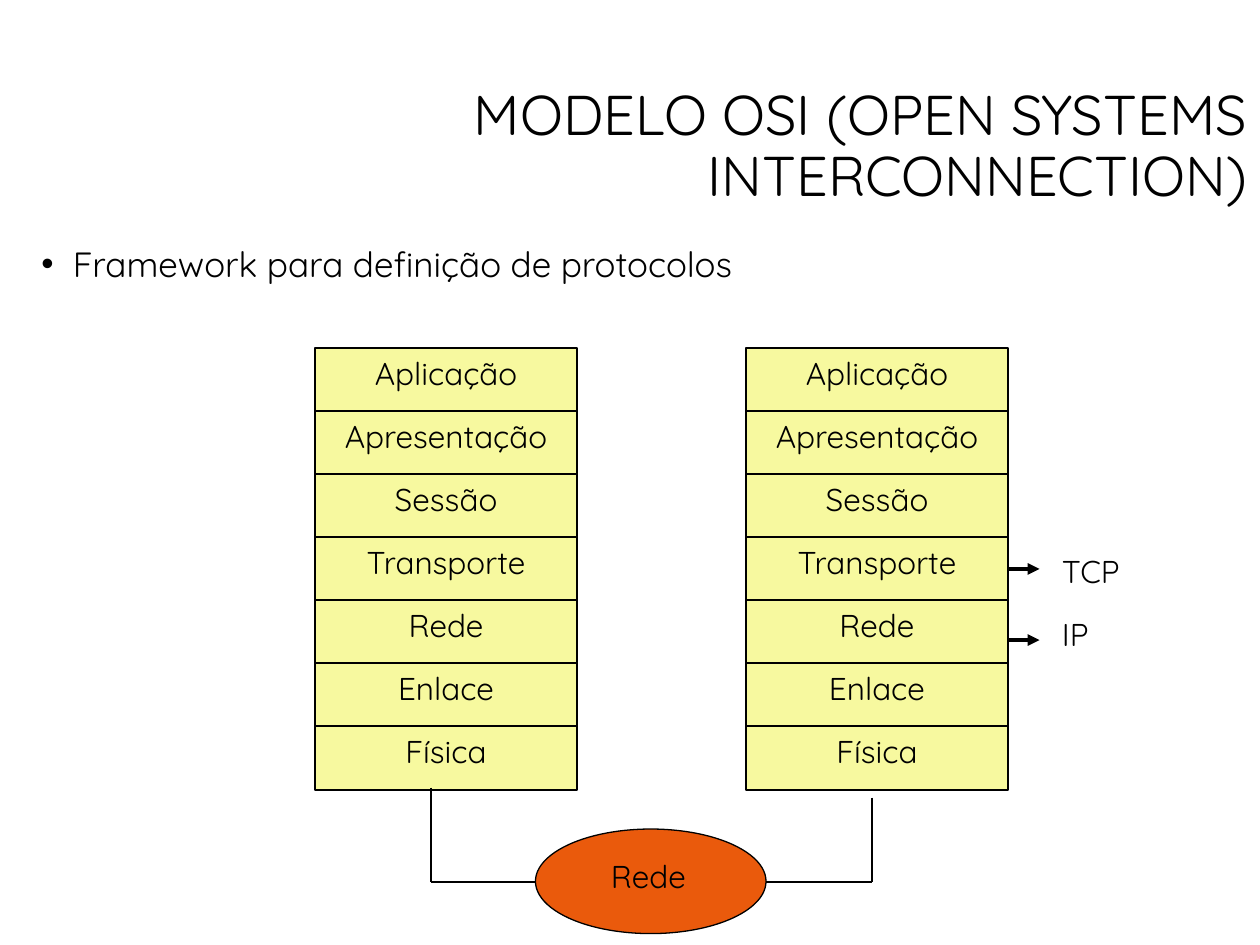
"""Build a slide comparing two OSI layer stacks joined by a network."""
from lxml.etree import SubElement
from pptx import Presentation
from pptx.dml.color import RGBColor
from pptx.enum.shapes import MSO_CONNECTOR, MSO_SHAPE
from pptx.enum.text import MSO_ANCHOR, PP_ALIGN
from pptx.oxml.ns import qn
from pptx.util import Inches, Pt


def write_text(text, left, top, width, height, kind=None, fill=None, line=None, size=18,
               align=PP_ALIGN.LEFT, anchor=MSO_ANCHOR.TOP, spacing=None, bullet=None):
    box = [Inches(value) for value in (left, top, width, height)]
    if kind is None:
        shape = slide.shapes.add_textbox(*box)
    else:
        shape = slide.shapes.add_shape(kind, *box)
        shape.shadow.inherit = False
        shape.fill.solid()
        shape.fill.fore_color.rgb = RGBColor.from_string(fill)
        if line:
            shape.line.color.rgb = RGBColor.from_string("000000")
            shape.line.width = Pt(line)
        else:
            shape.line.fill.background()
    if text:
        frame = shape.text_frame
        frame.word_wrap = True
        frame.vertical_anchor = anchor
        paragraph = frame.paragraphs[0]
        paragraph.text = text
        paragraph.alignment = align
        if spacing:
            paragraph.line_spacing = spacing
        if bullet:
            properties = paragraph._p.get_or_add_pPr()
            properties.set("marL", str(Inches(0.25)))
            properties.set("indent", str(Inches(-0.25)))
            SubElement(properties, qn("a:buFont")).set("typeface", "Arial")
            SubElement(properties, qn("a:buChar")).set("char", bullet)
        font = paragraph.runs[0].font
        font.name = "Quicksand"
        font.size = Pt(size)
        font.color.rgb = RGBColor.from_string("000000")
    return shape


def draw_line(start, end, width=0.75, arrow=False):
    connector = slide.shapes.add_connector(
        MSO_CONNECTOR.STRAIGHT, *[Inches(value) for value in (*start, *end)])
    connector.line.color.rgb = RGBColor.from_string("000000")
    connector.line.width = Pt(width)
    if arrow:
        SubElement(connector.line._get_or_add_ln(), qn("a:tailEnd")).set("type", "triangle")
    SubElement(connector._element.spPr, qn("a:effectLst"))
    return connector


presentation = Presentation()
presentation.slide_width = Inches(10)
presentation.slide_height = Inches(7.5)
slide = presentation.slides.add_slide(presentation.slide_layouts[6])

write_text("MODELO OSI (OPEN SYSTEMS INTERCONNECTION)", 0.23, 0.55, 9.77, 1.25, size=32,
           align=PP_ALIGN.RIGHT, anchor=MSO_ANCHOR.MIDDLE, spacing=0.9)
write_text("Framework para definição de protocolos", 0.23, 1.91, 8.53, 0.67, size=20,
           align=PP_ALIGN.JUSTIFY, spacing=0.9, bullet="•")

layers = ["Aplicação", "Apresentação", "Sessão", "Transporte", "Rede", "Enlace", "Física"]
layer_shapes = {}
for left in (2.5, 5.92):
    for row, layer in enumerate(layers):
        layer_shapes[layer] = write_text(
            layer, left, 2.76 + row * 0.5, 2.08, 0.51, kind=MSO_SHAPE.RECTANGLE,
            fill="F7F99F", line=1, align=PP_ALIGN.CENTER)

write_text("", 4.25, 6.58, 1.83, 0.83, kind=MSO_SHAPE.OVAL, fill="EA5A0C", line=0.75)
write_text("Rede", 4.75, 6.75, 1, 0.5, kind=MSO_SHAPE.RECTANGLE, fill="EA5A0C")
for stack_x, stack_y, network_x in ((3.42, 6.25, 4.25), (6.92, 6.33, 6.08)):
    draw_line((stack_x, stack_y), (stack_x, 7))
    draw_line((stack_x, 7), (network_x, 7))

for protocol, top in (("TCP", 4.33), ("IP", 4.83)):
    write_text(protocol, 8.33, top, 0.83, 0.5)

transport = layer_shapes["Transporte"]
transport_middle = (transport.top + transport.height / 2) / Inches(1)
transport_arrow = draw_line((8, transport_middle), (8.25, transport_middle), 2.25, arrow=True)
transport_arrow.begin_connect(transport, 3)
draw_line((8, 5.08), (8.25, 5.08), 2.25, arrow=True)

presentation.save("out.pptx")
